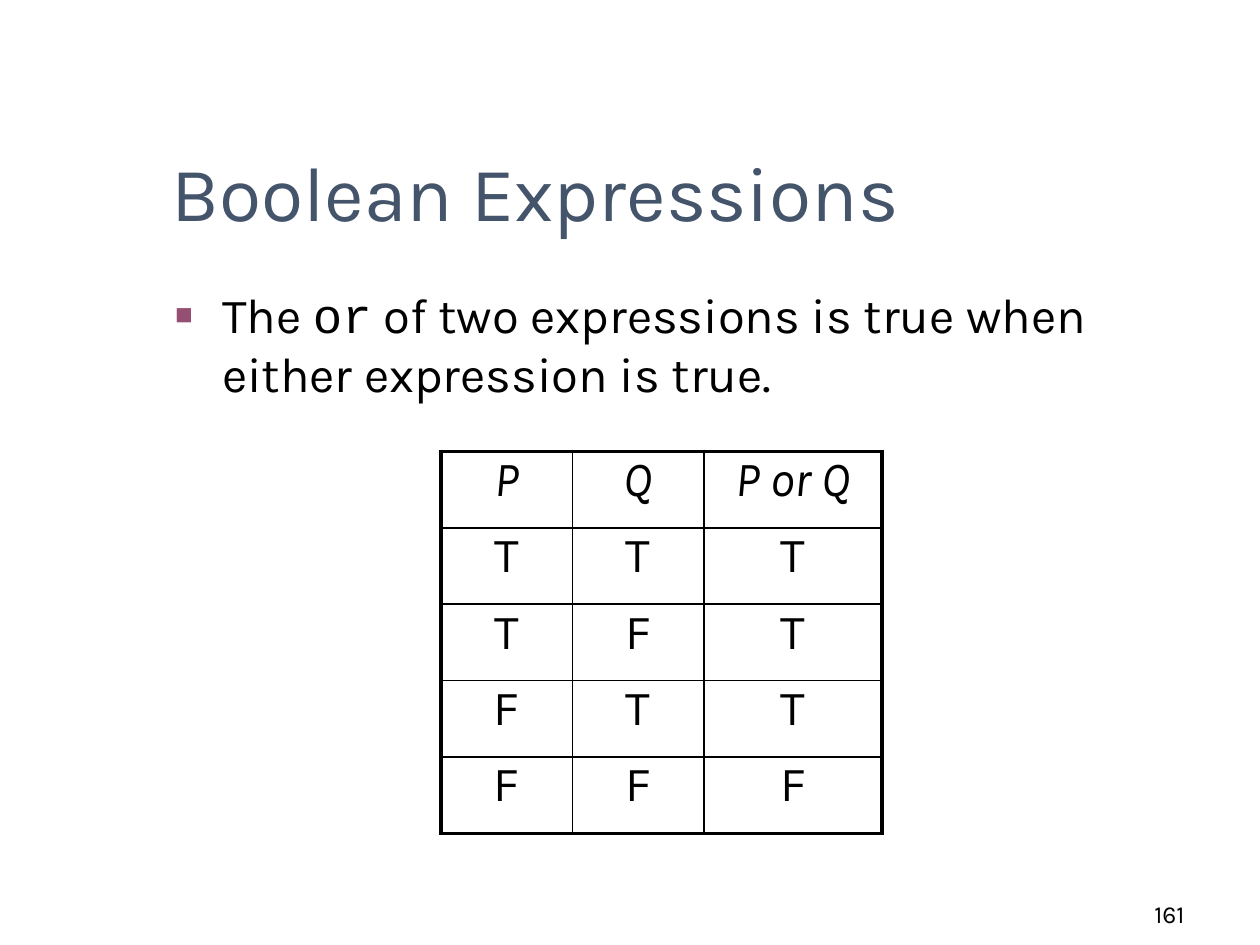
import pptx
import pptx.util
import pptx.oxml
import pptx.oxml.ns
from pptx.dml.color import RGBColor
from pptx.enum.text import MSO_ANCHOR, MSO_AUTO_SIZE, PP_ALIGN
from pptx.util import Cm

BLACK = RGBColor(0x00, 0x00, 0x00)
SLATE = RGBColor(0x44, 0x54, 0x6A)
PLUM = RGBColor(0x95, 0x4F, 0x72)

BODY_FONT = {"name": "Karla", "size": pptx.util.Pt(28), "color": BLACK}
TITLE_FONT = {**BODY_FONT, "size": pptx.util.Pt(44), "color": SLATE}
NUMBER_FONT = {**BODY_FONT, "size": pptx.util.Pt(14)}
CODE_FONT = {**BODY_FONT, "name": "Courier New"}
HEADER_FONT = {**BODY_FONT, "italic": True}

OUTER_LINE, INNER_LINE = 2.25, 1

TRUTH_TABLE = [
    ("P", "Q", "P or Q"),
    ("T", "T", "T"),
    ("T", "F", "T"),
    ("F", "T", "T"),
    ("F", "F", "F"),
]


def set_values(target, values):
    for key, value in values.items():
        setattr(target, key, value)


def add_run(paragraph, text, font):
    run = paragraph.add_run()
    run.text = text
    for key, value in font.items():
        if key == "color":
            run.font.color.rgb = value
        else:
            setattr(run.font, key, value)


def append_xml(parent, tag, content="", **attributes):
    listed = " ".join(f'{key}="{value}"' for key, value in attributes.items())
    parent.append(pptx.oxml.parse_xml(
        f'<a:{tag} {pptx.oxml.ns.nsdecls("a")} {listed}>{content}</a:{tag}>'))


def add_title(slide, text):
    title = slide.shapes.title
    set_values(title, {"left": Cm(3.2), "top": Cm(1.73),
                       "width": Cm(21.64), "height": Cm(3.17)})
    set_values(title.text_frame, {"vertical_anchor": MSO_ANCHOR.BOTTOM,
                                  "auto_size": MSO_AUTO_SIZE.NONE})
    paragraph = title.text_frame.paragraphs[0]
    paragraph.alignment = PP_ALIGN.LEFT
    add_run(paragraph, text, TITLE_FONT)


def add_text(slide, box, runs, anchor=MSO_ANCHOR.TOP, align=PP_ALIGN.LEFT):
    frame = slide.shapes.add_textbox(*map(Cm, box)).text_frame
    set_values(frame, {"word_wrap": True, "vertical_anchor": anchor})
    paragraph = frame.paragraphs[0]
    paragraph.alignment = align
    for text, font in runs:
        add_run(paragraph, text, font)
    return paragraph


def add_bullet(paragraph):
    properties = paragraph._p.get_or_add_pPr()
    indent = Cm(0.95)
    properties.set("marL", str(indent))
    properties.set("indent", str(-indent))
    append_xml(properties, "buClr", f'<a:srgbClr val="{PLUM}"/>')
    append_xml(properties, "buSzPct", val=60000)
    append_xml(properties, "buFont", typeface="Arial")
    append_xml(properties, "buChar", char="■")


def set_borders(cell, outer_sides):
    properties = cell._tc.get_or_add_tcPr()
    for side in "LRTB":
        weight = OUTER_LINE if side in outer_sides else INNER_LINE
        append_xml(properties, f"ln{side}",
                   f'<a:solidFill><a:srgbClr val="{BLACK}"/></a:solidFill>',
                   w=pptx.util.Pt(weight))


def add_truth_table(slide, rows, left, top, column_widths, row_height):
    last_row, last_column = len(rows) - 1, len(column_widths) - 1
    table = slide.shapes.add_table(
        len(rows), len(column_widths), Cm(left), Cm(top),
        Cm(sum(column_widths)), Cm(row_height * len(rows))).table
    set_values(table, {"first_row": False, "horz_banding": False})
    for column, width in zip(table.columns, column_widths):
        column.width = Cm(width)
    for r, values in enumerate(rows):
        for c, value in enumerate(values):
            cell = table.cell(r, c)
            set_values(cell, dict.fromkeys(
                ("margin_left", "margin_right", "margin_top", "margin_bottom"), 0))
            paragraph = cell.text_frame.paragraphs[0]
            paragraph.alignment = PP_ALIGN.CENTER
            add_run(paragraph, value, HEADER_FONT if r == 0 else BODY_FONT)
            on_edge = {"L": c == 0, "R": c == last_column,
                       "T": r == 0, "B": r == last_row}
            set_borders(cell, [side for side, outer in on_edge.items() if outer])
            cell.fill.background()


def main():
    deck = pptx.Presentation()
    set_values(deck, {"slide_width": Cm(25.4), "slide_height": Cm(19.05)})
    slide = deck.slides.add_slide(deck.slide_layouts[5])

    # Slide number
    add_text(slide, (18.85, 17.58, 5.28, 1.27), [("161", NUMBER_FONT)],
             MSO_ANCHOR.BOTTOM, PP_ALIGN.RIGHT)

    # Title and definition
    add_title(slide, "Boolean Expressions")
    definition = add_text(slide, (3.28, 5.61, 19.99, 11.43), [
        ("The ", BODY_FONT),
        ("or", CODE_FONT),
        (" of two expressions is true when either expression is true.", BODY_FONT),
    ])
    add_bullet(definition)

    # Truth table
    add_truth_table(slide, TRUTH_TABLE, 8.89, 9.1, (2.65, 2.65, 3.59), 1.54)

    deck.save("out.pptx")


main()
